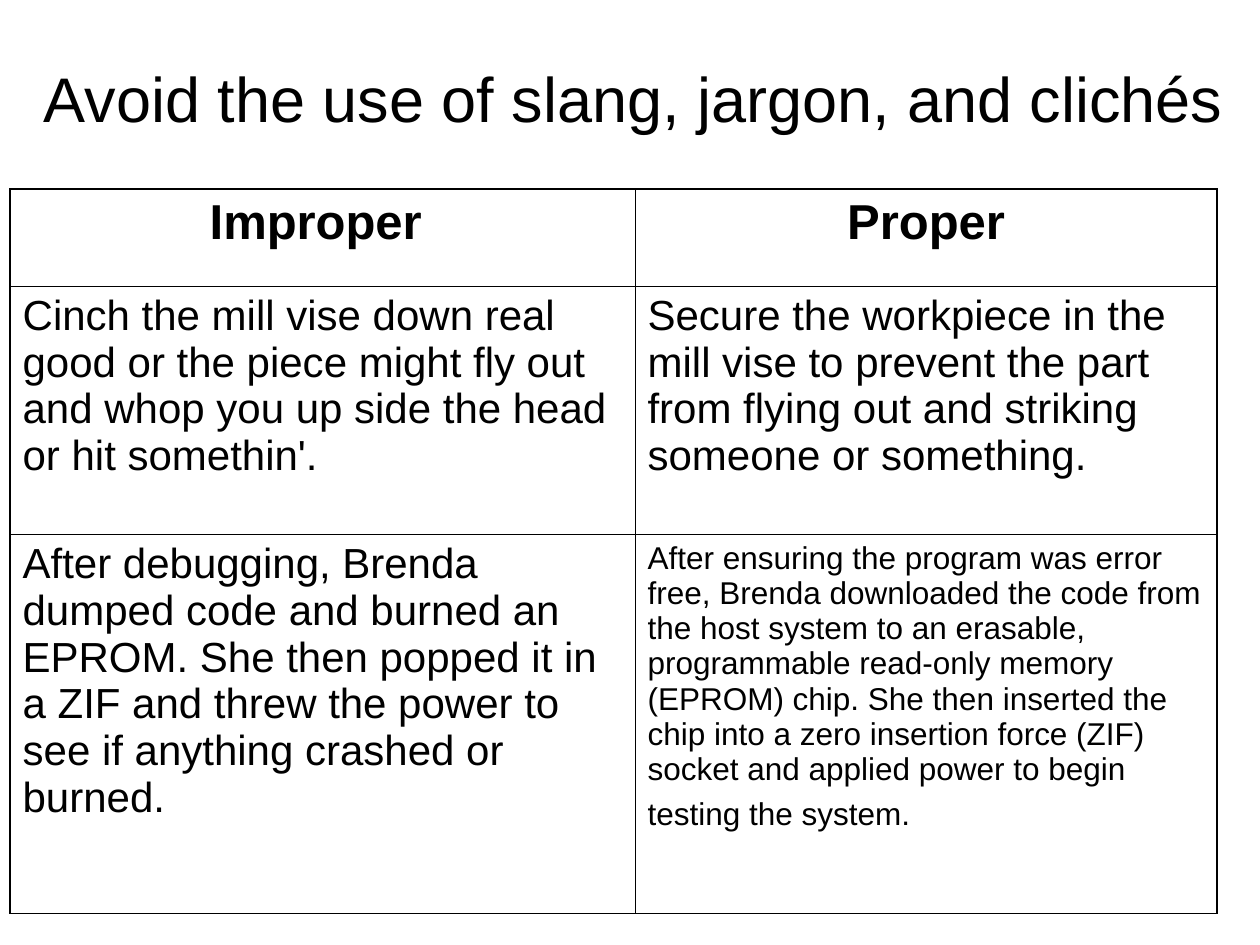
import pptx
import pptx.util
import pptx.dml.color
import pptx.enum.text
import pptx.oxml.ns
import lxml.etree

Inches = pptx.util.Inches
Pt = pptx.util.Pt
ALIGN = pptx.enum.text.PP_ALIGN
ANCHOR = pptx.enum.text.MSO_ANCHOR
INK = "000000"
PAPER = "FFFFFF"
THICK = 1.08
THIN = 0.45
WIDTHS = [4.96, 4.62]
HEIGHTS = [0.77, 1.97, 3.01]
ROWS = [
    ["Improper ", "Proper"],
    [
        "Cinch the mill vise down real good or the piece might fly out "
        "and whop you up side the head or hit somethin'.",
        "Secure the workpiece in the mill vise to prevent the part "
        "from flying out and striking someone or something.",
    ],
    [
        "After debugging, Brenda dumped code and burned an EPROM. She then "
        "popped it in a ZIF and threw the power to see if anything crashed or burned.",
        "After ensuring the program was error free, Brenda downloaded the code "
        "from the host system to an erasable, programmable read-only memory "
        "(EPROM) chip. She then inserted the chip into a zero insertion force "
        "(ZIF) socket and applied power to begin testing the system.",
    ],
]


def color(code):
    """Return the RGB colour for a hex string."""
    return pptx.dml.color.RGBColor.from_string(code)


def write(para, text, size=24, bold=False, align=ALIGN.LEFT, before=0):
    """Add a run of formatted text to a paragraph."""
    para.alignment = align
    para.space_before = Pt(before)
    run = para.add_run()
    run.text = text
    run.font.name = "Arial"
    run.font.size = Pt(size)
    run.font.bold = bold
    run.font.color.rgb = color(INK)


def border(cell, sides):
    """Draw the cell's borders from a mapping of side to line width."""
    props = cell._tc.get_or_add_tcPr()
    name = pptx.oxml.ns.qn
    for side, width in sides.items():
        line = lxml.etree.SubElement(props, name("a:ln" + side), w=str(Pt(width)))
        fill = lxml.etree.SubElement(line, name("a:solidFill"))
        lxml.etree.SubElement(fill, name("a:srgbClr"), val=INK)


def add_title(slide, left, top, width, height):
    """Place the heading in the given box."""
    frame = slide.shapes.add_textbox(
        Inches(left), Inches(top), Inches(width), Inches(height)
    ).text_frame
    frame.word_wrap = False
    frame.auto_size = pptx.enum.text.MSO_AUTO_SIZE.SHAPE_TO_FIT_TEXT
    frame.vertical_anchor = ANCHOR.MIDDLE
    write(frame.paragraphs[0], "Avoid the use of slang, jargon, and clichés", size=36)


def add_grid(slide, left, top, width, height):
    """Place the table of improper and proper wording in the given box."""
    table = slide.shapes.add_table(
        len(ROWS), len(WIDTHS), Inches(left), Inches(top), Inches(width), Inches(height)
    ).table
    table.first_row = table.horz_banding = False
    for col, size in zip(table.columns, WIDTHS):
        col.width = Inches(size)
    for row, size in zip(table.rows, HEIGHTS):
        row.height = Inches(size)
    last_row, last_col = len(ROWS) - 1, len(WIDTHS) - 1
    for i, texts in enumerate(ROWS):
        for j, text in enumerate(texts):
            cell = table.cell(i, j)
            border(cell, {
                "L": THICK if j == 0 else THIN,
                "R": THICK if j == last_col else THIN,
                "T": THICK if i == 0 else THIN,
                "B": THICK if i == last_row else THIN,
            })
            cell.fill.solid()
            cell.fill.fore_color.rgb = color(PAPER)
            para = cell.text_frame.paragraphs[0]
            if i == 0:
                write(para, text, size=28, bold=True, align=ALIGN.CENTER, before=7)
            elif (i, j) == (last_row, last_col):
                write(para, text, size=18, before=6)
                write(para, " ", before=6)
            else:
                write(para, text, before=6)


def main():
    """Build and save the slide."""
    deck = pptx.Presentation()
    deck.slide_width, deck.slide_height = Inches(10), Inches(7.5)
    slide = deck.slides.add_slide(deck.slide_layouts[6])
    add_grid(slide, 0.08, 1.5, sum(WIDTHS), sum(HEIGHTS))
    add_title(slide, 0.25, 0.42, 9.7, 0.7)
    deck.save("out.pptx")


if __name__ == "__main__":
    main()
